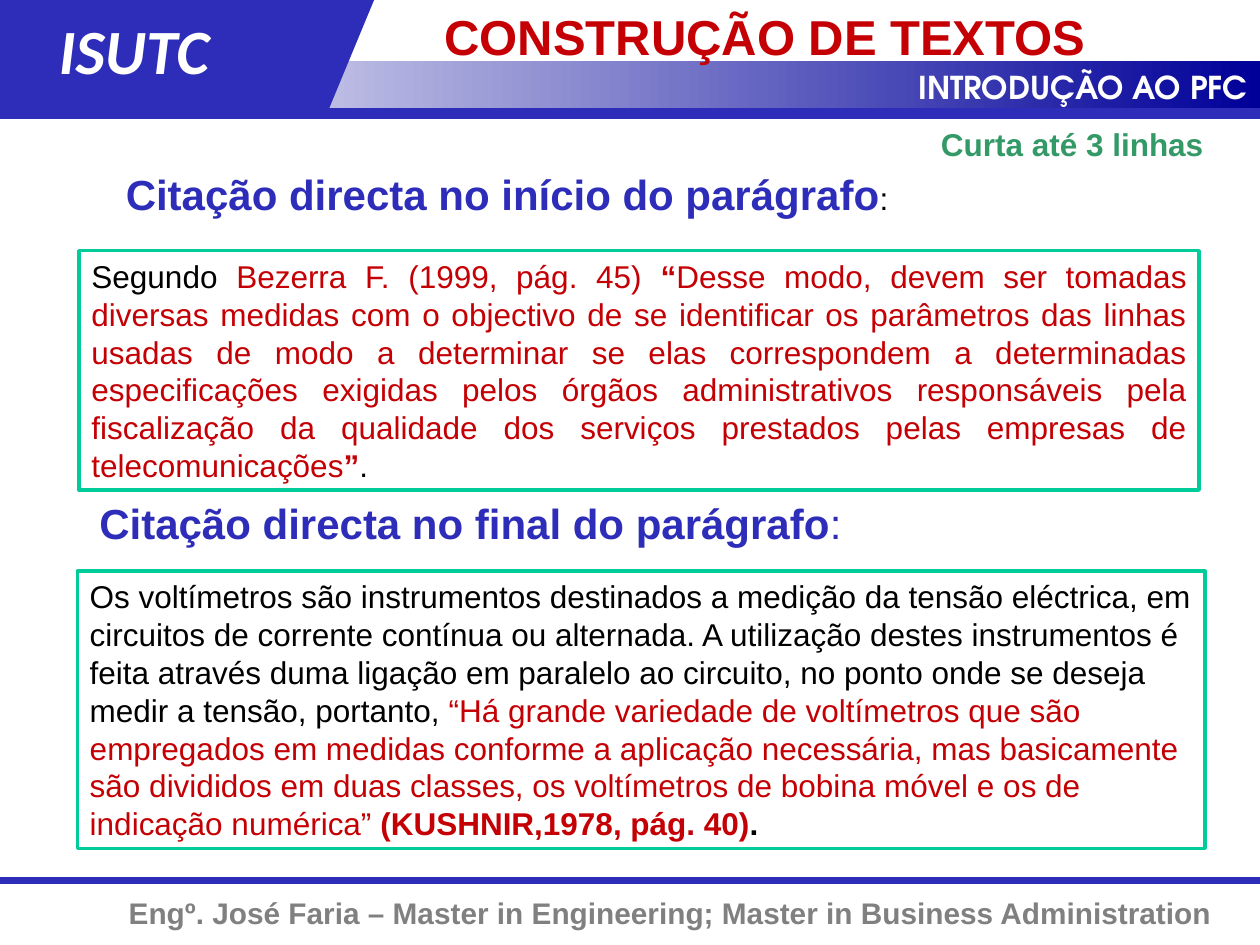
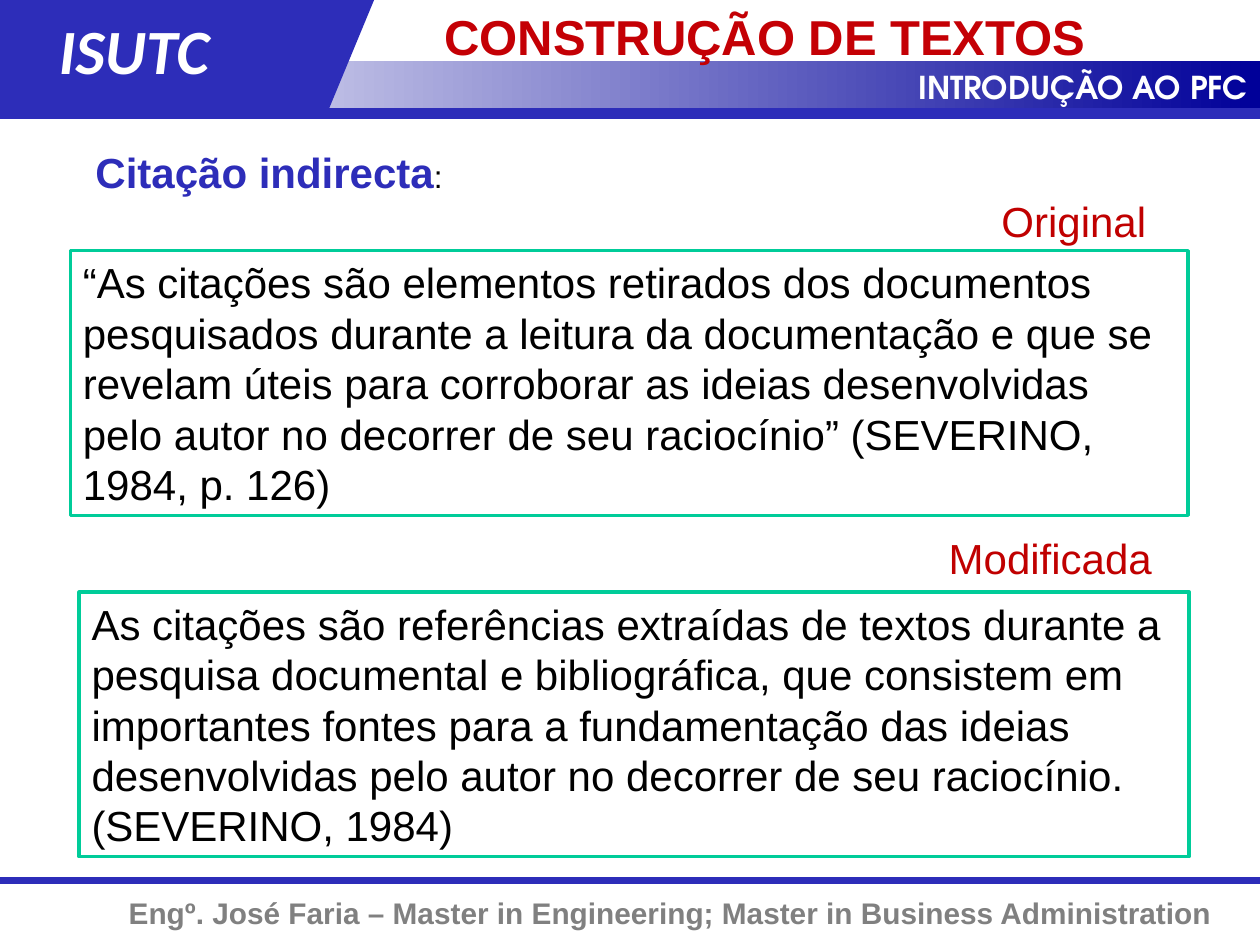
"""Builds two slides on direct and indirect citation for a writing course."""
import lxml.etree
import pptx
import pptx.dml.color
import pptx.enum.shapes
import pptx.enum.text
import pptx.oxml.ns
import pptx.util

Pt = pptx.util.Pt
RGB = pptx.dml.color.RGBColor
PRESET = pptx.enum.shapes.MSO_SHAPE
ALIGN = pptx.enum.text.PP_ALIGN

BLUE = RGB(0x2D, 0x2D, 0xB9)
NAVY = RGB(0x00, 0x00, 0x99)
WHITE = RGB(0xFF, 0xFF, 0xFF)
BLACK = RGB(0x00, 0x00, 0x00)
GREY = RGB(0x80, 0x80, 0x80)
TEAL = RGB(0x00, 0xCC, 0x99)
GREEN = RGB(0x33, 0x99, 0x66)
RED = RGB(0xC4, 0x00, 0x05)
DARK_RED = RGB(0xC0, 0x00, 0x00)

WIDTH, HEIGHT = 720, 540
BAND_BOTTOM = 62.6
INSET_X, INSET_Y = 7.2, 3.6
LINE_HEIGHT = 1.2

TITLE = "CONSTRUÇÃO DE TEXTOS"
SCHOOL = "ISUTC"
COURSE = "INTRODUÇÃO AO PFC"
AUTHOR = "Engº. José Faria – Master in Engineering; Master in Business Administration"

# Runs are (text, size, colour, bold); notes are (left, top, width, runs);
# quotes are (left, top, width, lines, alignment, runs).
SLIDES = [
    {
        "notes": [
            (64.8, 92.9, 454, [
                ("Citação directa no início do parágrafo", 24, BLUE, True),
                (":", 18, BLACK, False)]),
            (49.7, 280.8, 443, [
                ("Citação directa no final do parágrafo", 24, BLUE, True),
                (":", 24, BLUE, False)]),
            (530.6, 67.7, 189.4, [("Curta até 3 linhas", 18, GREEN, True)]),
        ],
        "quotes": [
            (45.2, 143.3, 640, 6, ALIGN.JUSTIFY, [
                ("Segundo ", 18, BLACK, False),
                ("Bezerra F. (1999, pág. 45) ", 18, RED, False),
                ("“", 18, RED, True),
                ("Desse modo, devem ser tomadas diversas medidas com o objectivo "
                 "de se identificar os parâmetros das linhas usadas de modo a "
                 "determinar se elas correspondem a determinadas especificações "
                 "exigidas pelos órgãos administrativos responsáveis pela "
                 "fiscalização da qualidade dos serviços prestados pelas "
                 "empresas de telecomunicações", 18, RED, False),
                ("”", 18, RED, True),
                (".", 18, BLACK, False)]),
            (44.2, 326.4, 644.4, 7, ALIGN.LEFT, [
                ("Os voltímetros são instrumentos destinados a medição da tensão "
                 "eléctrica, em circuitos de corrente contínua ou alternada. A "
                 "utilização destes instrumentos é feita através duma ligação em "
                 "paralelo ao circuito, no ponto onde se deseja medir a tensão, "
                 "portanto, ", 18, BLACK, False),
                ("“Há grande variedade de voltímetros que são empregados em "
                 "medidas conforme a aplicação necessária, mas basicamente são "
                 "divididos em duas classes, os voltímetros de bobina móvel e os "
                 "de indicação numérica” ", 18, RED, False),
                ("(KUSHNIR,1978, pág. 40)", 18, RED, True),
                (".", 18, BLACK, True)]),
        ],
    },
    {
        "notes": [
            (47.5, 79.9, 234.7, [
                ("Citação indirecta", 24, BLUE, True),
                (":", 18, BLACK, False)]),
            (565.2, 108, 110.9, [("Original", 24, DARK_RED, False)]),
            (535, 301, 143.3, [("Modificada", 24, DARK_RED, False)]),
        ],
        "quotes": [
            (40.3, 143.3, 638.6, 5, ALIGN.LEFT, [
                ("“As citações são elementos retirados dos documentos "
                 "pesquisados durante a leitura da documentação e que se revelam "
                 "úteis para corroborar as ideias desenvolvidas pelo autor no "
                 "decorrer de seu raciocínio” (SEVERINO, 1984, p. 126)",
                 24, BLACK, False)]),
            (45.2, 338.4, 634.3, 5, ALIGN.LEFT, [
                ("As citações são referências extraídas de textos durante a "
                 "pesquisa documental e bibliográfica, que consistem em "
                 "importantes fontes para a fundamentação das ideias "
                 "desenvolvidas pelo autor no decorrer de seu raciocínio. "
                 "(SEVERINO, 1984)", 24, BLACK, False)]),
        ],
    },
]


def place(left, top, width, height):
    return Pt(left), Pt(top), Pt(width), Pt(height)


def write(frame, runs, align=ALIGN.LEFT, font="Arial", italic=False, indent=INSET_X):
    frame.word_wrap = True
    frame.auto_size = pptx.enum.text.MSO_AUTO_SIZE.NONE
    frame.vertical_anchor = pptx.enum.text.MSO_ANCHOR.TOP
    frame.margin_left, frame.margin_right = Pt(indent), Pt(INSET_X)
    frame.margin_top = frame.margin_bottom = Pt(INSET_Y)
    paragraph = frame.paragraphs[0]
    paragraph.alignment = align
    paragraph.space_before = Pt(0)
    paragraph.line_spacing = Pt(LINE_HEIGHT * runs[0][1])
    for text, size, color, bold in runs:
        run = paragraph.add_run()
        run.text = text
        run.font.name = font
        run.font.size = Pt(size)
        run.font.bold = bold
        run.font.italic = italic
        run.font.color.rgb = color


def text_height(size, lines=1):
    return lines * size * LINE_HEIGHT + 2 * INSET_Y


def add_note(slide, left, top, width, runs, **style):
    box = slide.shapes.add_textbox(*place(left, top, width, text_height(runs[0][1])))
    write(box.text_frame, runs, **style)


def add_block(slide, preset, bounds, color=None):
    block = slide.shapes.add_shape(preset, *place(*bounds))
    block.shadow.inherit = False
    block.line.fill.background()
    if color is not None:
        block.fill.solid()
        block.fill.fore_color.rgb = color
    return block


def add_rule(slide, y, weight):
    rule = slide.shapes.add_connector(
        pptx.enum.shapes.MSO_CONNECTOR.STRAIGHT, Pt(0), Pt(y), Pt(WIDTH), Pt(y))
    rule.line.color.rgb = BLUE
    rule.line.width = Pt(weight)
    properties = rule.element.find(pptx.oxml.ns.qn("p:spPr"))
    lxml.etree.SubElement(properties, pptx.oxml.ns.qn("a:effectLst"))


def add_frame(slide):
    add_rule(slide, 503.3, 4)
    add_note(slide, 0, 507.6, 699.8, [(AUTHOR, 17, GREY, True)], align=ALIGN.RIGHT)
    band = add_block(slide, PRESET.RECTANGLE, (0, 34.6, WIDTH, 28))
    band.fill.gradient()
    band.fill.gradient_angle = 0
    for stop, color in zip(band.fill.gradient_stops, (WHITE, NAVY)):
        stop.color.rgb = color
    add_block(slide, PRESET.FLOWCHART_DATA, (84.2, 0, 129.6, BAND_BOTTOM), BLUE)
    add_block(slide, PRESET.RECTANGLE, (0, 0, 114.5, BAND_BOTTOM), BLUE)
    add_note(slide, 313.9, 35.3, 406.1, [(COURSE, 18, WHITE, True)],
             align=ALIGN.RIGHT, font="TeX Gyre Adventor")
    add_note(slide, 26.6, 2.9, 139, [(SCHOOL, 36, WHITE, True)],
             font="Calibri", italic=True)
    add_rule(slide, 64.8, 6)


def add_title(slide):
    title = slide.shapes.title
    title.left, title.top, title.width, title.height = place(216, 0, 504, 34.6)
    write(title.text_frame, [(TITLE, 28, RED, True)], indent=38)
    title.element.getparent().append(title.element)


def add_quote(slide, left, top, width, lines, align, runs):
    bounds = (left, top, width, text_height(runs[0][1], lines))
    quote = add_block(slide, PRESET.RECTANGLE, bounds, WHITE)
    quote.line.color.rgb = TEAL
    quote.line.width = Pt(2)
    write(quote.text_frame, runs, align)


def main():
    deck = pptx.Presentation()
    deck.slide_width, deck.slide_height = Pt(WIDTH), Pt(HEIGHT)
    for content in SLIDES:
        slide = deck.slides.add_slide(deck.slide_layouts.get_by_name("Title Only"))
        add_frame(slide)
        for quote in content["quotes"]:
            add_quote(slide, *quote)
        for note in content["notes"]:
            add_note(slide, *note)
        add_title(slide)
    deck.save("out.pptx")


if __name__ == "__main__":
    main()
